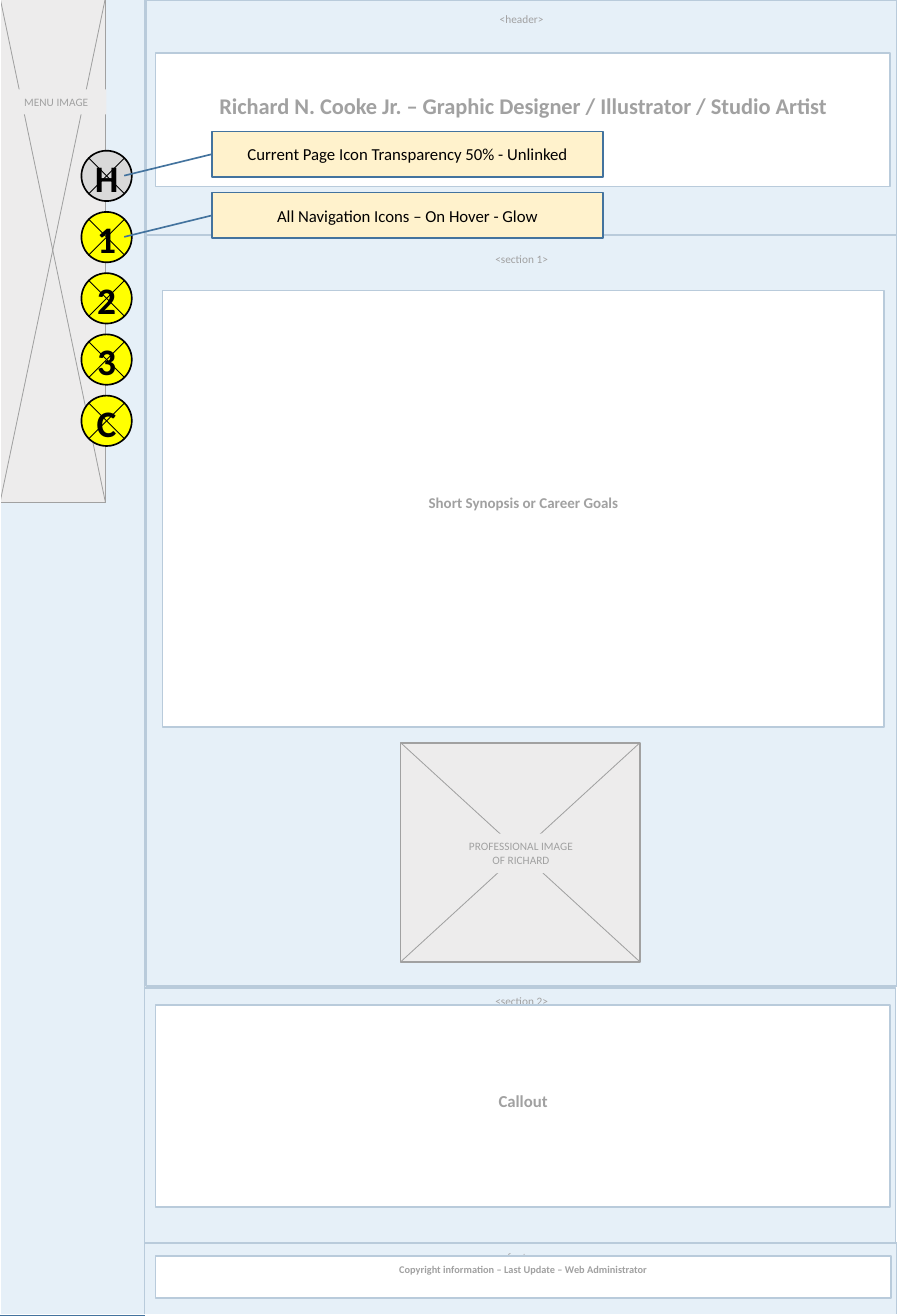
from dataclasses import dataclass
from lxml import etree
from pptx import Presentation
from pptx import util as u
from pptx.dml.color import RGBColor
from pptx.enum import shapes, text
from pptx.oxml import ns

COLORS = {
    "band": "BDD7EE", "border": "43739E", "white": "FFFFFF", "image": "D0CECE",
    "ink": "000000", "icon": "FFFF00", "current": "D9D9D9", "note": "FFF2CC",
}
KINDS = shapes.MSO_SHAPE


@dataclass
class Block:
    x: float
    y: float
    w: float
    h: float
    fill: str = ""
    line: str = ""
    words: str = ""
    size: float = 6.8
    bold: bool = False
    kind: int = KINDS.RECTANGLE
    anchor: int = text.MSO_ANCHOR.TOP
    title: bool = False
    crossed: bool = False


def rgb(name: str) -> RGBColor:
    return RGBColor.from_string(COLORS[name])


def write(sp, b: Block) -> None:
    tf = sp.text_frame
    frame = {"word_wrap": True, "auto_size": text.MSO_AUTO_SIZE.NONE,
             "vertical_anchor": b.anchor}
    for key, value in frame.items():
        setattr(tf, key, value)
    for i, words in enumerate(b.words.split("\n")):
        p = tf.paragraphs[0] if i == 0 else tf.add_paragraph()
        p.alignment = text.PP_ALIGN.CENTER
        r = p.add_run()
        r.text = words
        for key, value in {"name": "Calibri", "size": u.Pt(b.size), "bold": b.bold}.items():
            setattr(r.font, key, value)
        r.font.color.rgb = rgb("ink")


def cross(s, x: float, y: float, w: float, h: float) -> None:
    for x1, x2 in ((x, x + w), (x + w, x)):
        c = s.shapes.add_connector(shapes.MSO_CONNECTOR.STRAIGHT,
                                   u.Cm(x1), u.Cm(y), u.Cm(x2), u.Cm(y + h))
        c.line.color.rgb = rgb("ink")
        c.line.width = u.Pt(0.5)
        etree.SubElement(c.element.spPr, ns.qn("a:effectLst"))


def draw(s, b: Block):
    box = [u.Cm(v) for v in (b.x, b.y, b.w, b.h)]
    if b.title:
        sp = s.shapes.title
        for key, value in zip(("left", "top", "width", "height"), box):
            setattr(sp, key, value)
        sp.element.getparent().append(sp.element)
    elif b.fill:
        sp = s.shapes.add_shape(b.kind, *box)
        sp.shadow.inherit = False
        sp.fill.solid()
        sp.fill.fore_color.rgb = rgb(b.fill)
        if b.line:
            sp.line.color.rgb = rgb(b.line)
            sp.line.width = u.Pt(1)
        else:
            sp.line.fill.background()
    else:
        sp = s.shapes.add_textbox(*box)
    if b.words:
        write(sp, b)
    if b.crossed:
        cross(s, b.x, b.y, b.w, b.h)
    return sp


def band(x: float, y: float, w: float, h: float) -> Block:
    return Block(x, y, w, h, "band", "border")


def label(y: float, h: float, words: str) -> Block:
    return Block(9.63, y, 2.9, h, words=words)


def panel(x: float, y: float, w: float, h: float) -> Block:
    return Block(x, y, w, h, "white", "border")


def image(x: float, y: float, w: float, h: float) -> Block:
    return Block(x, y, w, h, "image", "ink", crossed=True)


def icon(s, letter: str, y: float, fill: str) -> None:
    x, size, inset = 1.73, 1.07, 0.15
    draw(s, Block(x, y, size, size, fill, "ink", kind=KINDS.OVAL))
    cross(s, x + inset, y + inset, size - 2 * inset, size - 2 * inset)
    draw(s, Block(x, y - 0.04, size, 1.22, words=letter, size=22.5, bold=True))


LAYOUT = [
    band(3.1, 0, 15.95, 4.98),
    label(0.13, 1.04, "<header>"),
    panel(3.3, 1.12, 15.6, 2.84),
    Block(3.45, 1.83, 15.32, 1.6, size=13.5, bold=True, title=True,
          words="Richard N. Cooke Jr. – Graphic Designer / Illustrator / Studio Artist"),
    band(3.07, 20.98, 15.95, 5.41),
    label(20.98, 1.27, "<section 2>"),
    panel(3.3, 21.34, 15.6, 4.29),
    Block(3.45, 23.04, 15.32, 1.6, words="Callout", size=10.1, bold=True),
    band(3.1, 5, 15.95, 15.93),
    label(5.23, 0.53, "<section 1>"),
    image(8.51, 15.77, 5.08, 4.65),
    Block(8.64, 17.7, 4.85, 0.84, "image", words="PROFESSIONAL IMAGE\nOF RICHARD"),
    panel(3.45, 6.17, 15.32, 9.27),
    Block(3.71, 10.36, 14.81, 1.3, words="Short Synopsis or Career Goals", size=9, bold=True),
    band(3.07, 26.39, 15.98, 1.52),
    label(26.42, 1.12, "<footer>"),
    panel(3.3, 26.67, 15.62, 0.89),
    Block(3.3, 26.7, 15.62, 1.07, size=6.2, bold=True,
          words="Copyright information – Last Update – Web Administrator"),
    band(0, -0.03, 3.07, 27.97),
    image(0, -0.05, 2.24, 10.72),
    Block(0.13, 1.9, 2.13, 0.53, "image", words="MENU IMAGE"),
]
NOTES = ["Current Page Icon Transparency 50% - Unlinked",
         "All Navigation Icons – On Hover - Glow"]
STEP = 1.3

prs = Presentation()
prs.slide_width, prs.slide_height = u.Cm(19.05), u.Cm(27.94)
s = prs.slides.add_slide(prs.slide_layouts[5])

for block in LAYOUT:
    draw(s, block)

veil = draw(s, Block(0, -0.08, 19.2, 27.99, "white", "white"))
veil_color = veil.element.spPr.find(ns.qn("a:solidFill")).find(ns.qn("a:srgbClr"))
etree.SubElement(veil_color, ns.qn("a:alpha"), val="63000")

for i, letter in enumerate("H123C"):
    icon(s, letter, 3.2 + i * STEP, "icon" if i else "current")

for i, words in enumerate(NOTES):
    note = draw(s, Block(4.5, 2.79 + i * STEP, 8.31, 0.97, "note", "border", words, 10.1,
                         kind=KINDS.LINE_CALLOUT_1, anchor=text.MSO_ANCHOR.MIDDLE))
    for j, value in enumerate((0.498, 0.001, 0.97, -0.224)):
        note.adjustments[j] = value

prs.save("out.pptx")
